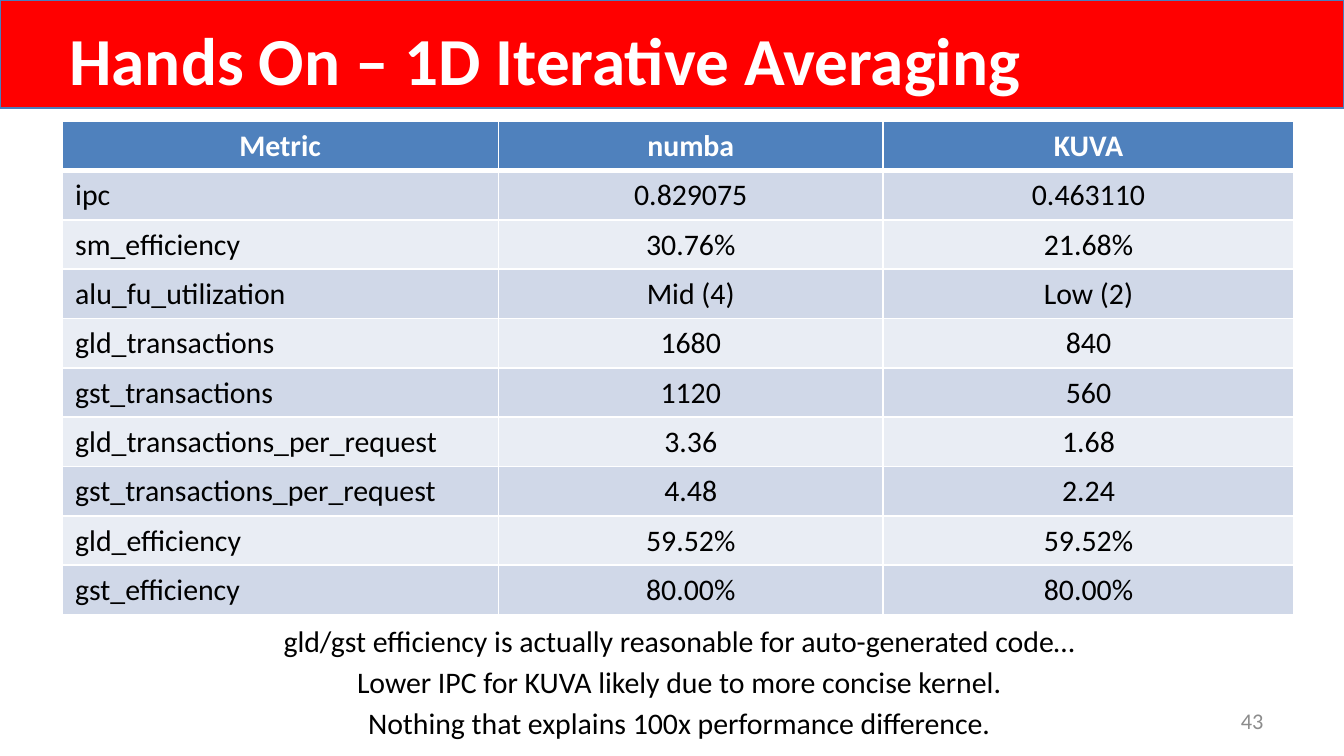
from lxml.etree import SubElement
from pptx import Presentation
from pptx.dml.color import RGBColor
from pptx.enum.shapes import MSO_SHAPE as SHAPE
from pptx.enum.text import MSO_ANCHOR as ANCHOR, PP_ALIGN as ALIGN
from pptx.oxml.ns import qn
from pptx.util import Pt

FONT = "Calibri"
WHITE = RGBColor(0xFF, 0xFF, 0xFF)
BLACK = RGBColor(0x00, 0x00, 0x00)
GREY = RGBColor(0x8C, 0x8C, 0x8C)
RED = RGBColor(0xFF, 0x00, 0x00)
EDGE_BLUE = RGBColor(0x4B, 0x7E, 0xBC)
HEADER_BLUE = RGBColor(0x4F, 0x81, 0xBD)
BANDS = [RGBColor(0xD0, 0xD8, 0xE8), RGBColor(0xE9, 0xED, 0xF4)]

METRICS = [
    ("Metric", "numba", "KUVA"),
    ("ipc", "0.829075", "0.463110"),
    ("sm_efficiency", "30.76%", "21.68%"),
    ("alu_fu_utilization", "Mid (4)", "Low (2)"),
    ("gld_transactions", "1680", "840"),
    ("gst_transactions", "1120", "560"),
    ("gld_transactions_per_request", "3.36", "1.68"),
    ("gst_transactions_per_request", "4.48", "2.24"),
    ("gld_efficiency", "59.52%", "59.52%"),
    ("gst_efficiency", "80.00%", "80.00%"),
]
COLUMN_WIDTHS = [234, 205.9, 220.3]
NOTES = [
    "gld/gst efficiency is actually reasonable for auto-generated code…",
    "Lower IPC for KUVA likely due to more concise kernel.",
    "Nothing that explains 100x performance difference.",
]


def style_text(tf, size, color, bold=False, align=ALIGN.LEFT, space=0):
    """Format every paragraph and run of a text frame."""
    for p in tf.paragraphs:
        p.alignment = align
        p.space_before = Pt(space)
        for r in p.runs:
            r.font.name = FONT
            r.font.size = Pt(size)
            r.font.bold = bold
            r.font.color.rgb = color


def add_text(slide, box, text, size, color, anchor=ANCHOR.TOP, **style):
    """Add a wrapping text box in the given box."""
    tf = slide.shapes.add_textbox(*map(Pt, box)).text_frame
    tf.word_wrap = True
    tf.vertical_anchor = anchor
    tf.text = text
    style_text(tf, size, color, **style)


def add_title_band(slide, box, title):
    """Draw the red band with its title."""
    left, top, width, height = box
    s = slide.shapes.add_shape(SHAPE.RECTANGLE, *map(Pt, box))
    s.shadow.inherit = False
    s.fill.solid()
    s.fill.fore_color.rgb = RED
    s.line.color.rgb = EDGE_BLUE
    s.line.width = Pt(0.75)
    title_box = (left + 30.2, top + 6.5, width - 95.8, height - 7.2)
    add_text(slide, title_box, title, 36, WHITE, bold=True)


def set_borders(cell, bottom):
    """Give a cell white borders, with its own bottom width."""
    tc_pr = cell._tc.get_or_add_tcPr()
    widths = {"a:lnL": 1, "a:lnR": 1, "a:lnT": 1, "a:lnB": bottom}
    for tag, width in widths.items():
        ln = SubElement(tc_pr, qn(tag), w=str(Pt(width)))
        fill = SubElement(ln, qn("a:solidFill"))
        SubElement(fill, qn("a:srgbClr"), val=str(WHITE))


def add_metric_table(slide, box, rows, widths):
    """Build the banded comparison table with equal row heights."""
    frame = slide.shapes.add_table(len(rows), len(widths), *map(Pt, box))
    table = frame.table
    for column, width in zip(table.columns, widths):
        column.width = Pt(width)
    for i, values in enumerate(rows):
        header = i == 0
        table.rows[i].height = Pt(box[3] / len(rows))
        for j, value in enumerate(values):
            cell = table.cell(i, j)
            set_borders(cell, 3 if header else 1)
            cell.fill.solid()
            cell.fill.fore_color.rgb = HEADER_BLUE if header else BANDS[(i - 1) % 2]
            cell.text_frame.text = value
            style_text(cell.text_frame, 16, WHITE if header else BLACK, header,
                       ALIGN.CENTER if header or j else ALIGN.LEFT)


def add_footer(slide, box, notes, number):
    """Place the closing notes and the slide number."""
    left, top, width, height = box
    number_box = (left + width - 178.6, top + 45.4, 167.8, 21.6)
    add_text(slide, number_box, number, 12, GREY, ANCHOR.MIDDLE, align=ALIGN.RIGHT)
    add_text(slide, box, "\n".join(notes), 16, BLACK, align=ALIGN.CENTER, space=3)


def main():
    """Build and save the slide."""
    prs = Presentation()
    prs.slide_width, prs.slide_height = Pt(720), Pt(405)
    slide = prs.slides.add_slide(prs.slide_layouts[6])
    add_title_band(slide, (0, 0, 720, 58), "Hands On – 1D Iterative Averaging")
    add_footer(slide, (33.1, 329.8, 661.7, 58.3), NOTES, "43")
    add_metric_table(slide, (33.1, 65, 660.2, 264), METRICS, COLUMN_WIDTHS)
    prs.save("out.pptx")


if __name__ == "__main__":
    main()
